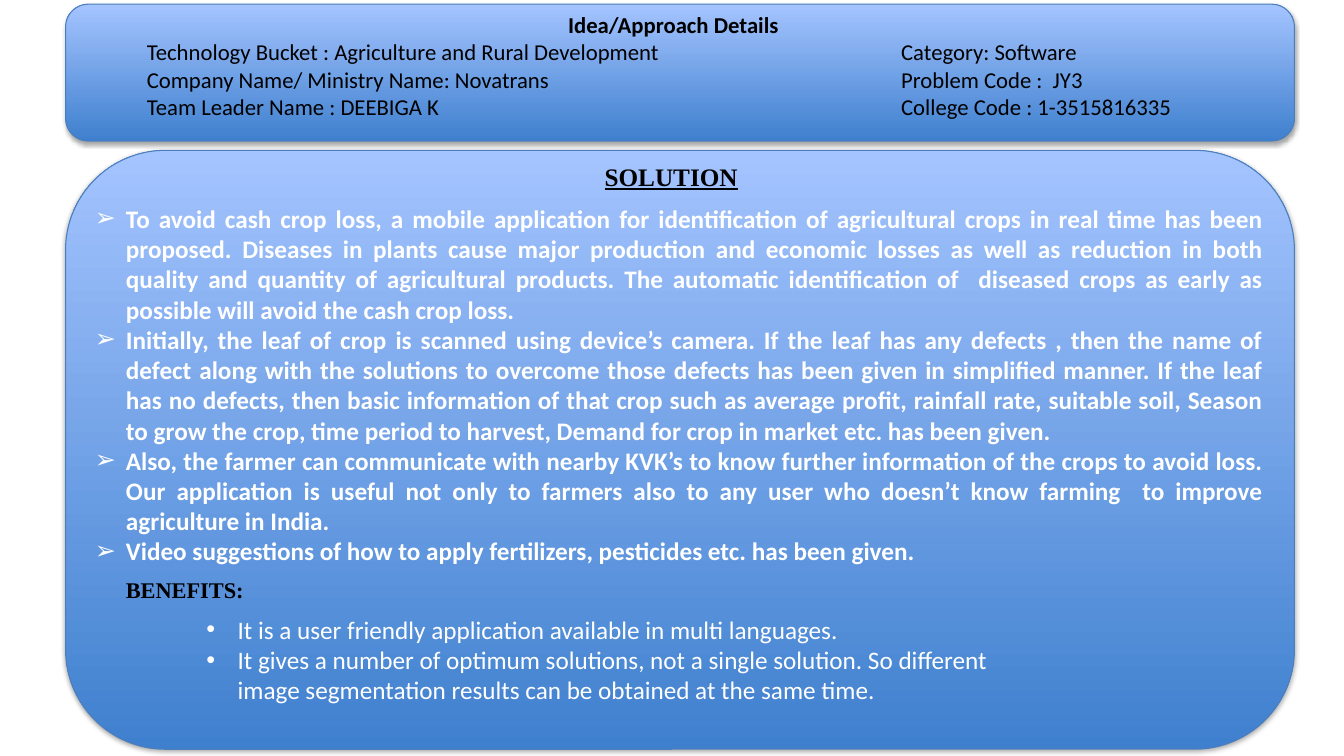
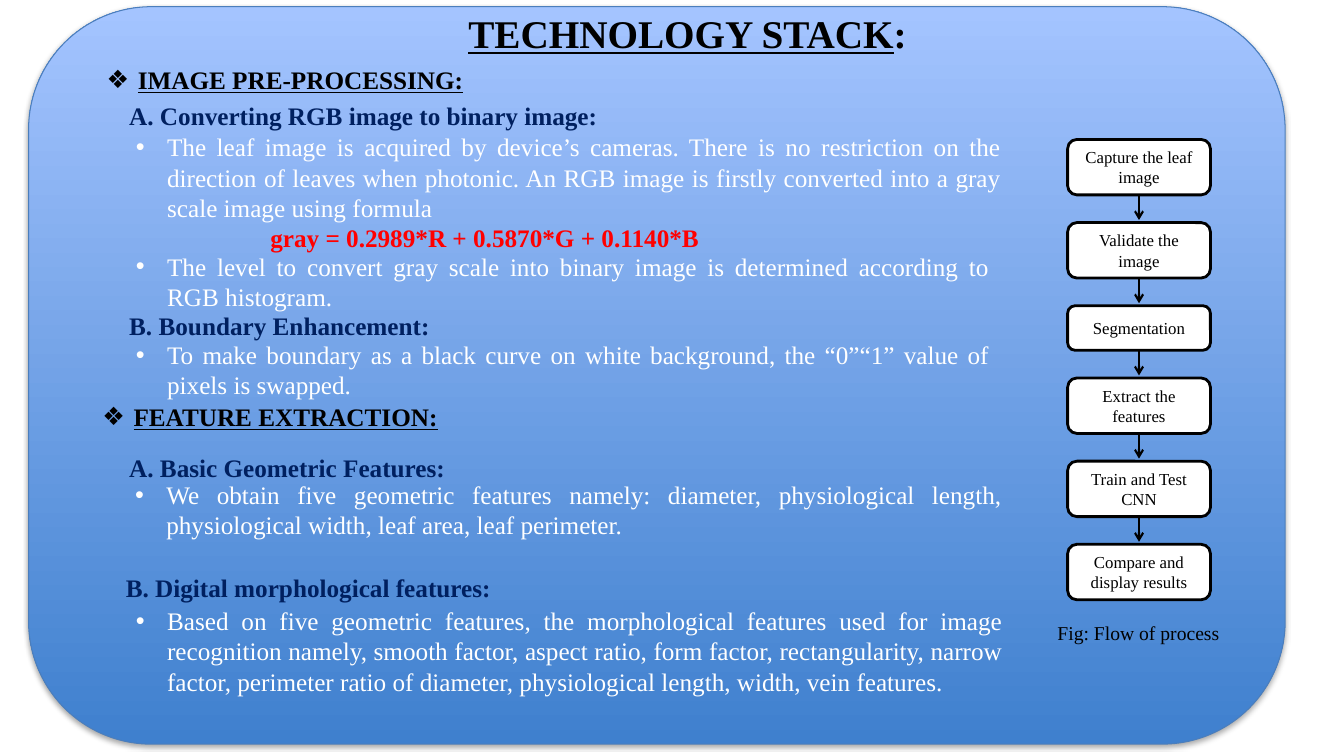
from dataclasses import dataclass, replace

from lxml import etree
from pptx import Presentation
from pptx import util as u
from pptx.dml.color import RGBColor
from pptx.enum import shapes, text
from pptx.oxml import ns

# Grid: 160 columns by 90 rows on a 13.33 x 7.5 inch slide
SLIDE_WIDTH, SLIDE_HEIGHT = u.Inches(13.33), u.Inches(7.5)
COLUMNS, ROWS = 160, 90
INDENT = u.Inches(0.31)

BLACK, WHITE, NAVY, RED = "000000", "FFFFFF", "002060", "FF0000"
PANEL_BOTTOM, PANEL_TOP, PANEL_EDGE = "3F80CE", "A4C4FF", "4B7EBC"
SANS, SERIF = "Calibri", "Times New Roman"
ALIGN = text.PP_ALIGN
MIDDLE = text.MSO_ANCHOR.MIDDLE


@dataclass(frozen=True)
class Style:
    font: str = SERIF
    size: float = 18
    color: str = BLACK
    bold: bool = False
    underline: bool = False
    align: ALIGN = ALIGN.LEFT
    bullet: str = ""


# Text styles
TITLE = Style(bold=True, underline=True, align=ALIGN.CENTER)
DETAIL = Style(SANS, 16.2)
SOLUTION = Style(SANS, color=WHITE, bold=True, align=ALIGN.JUSTIFY, bullet="➢")
BENEFIT = Style(SANS, color=WHITE, bullet="•")
SECTION = Style(bold=True, underline=True, bullet="❖")
STEP_HEADING = Style(color=NAVY, bold=True)
STEP_BODY = Style(color=WHITE, align=ALIGN.JUSTIFY, bullet="•")
FORMULA = Style(color=RED, bold=True)
FLOW = Style(size=12, align=ALIGN.CENTER)

# Wording of the first slide
DETAIL_ROWS = [
    "Technology Bucket : Agriculture and Rural Development\tCategory: Software",
    "Company Name/ Ministry Name: Novatrans\tProblem Code :  JY3",
    "Team Leader Name : DEEBIGA K\tCollege Code : 1-3515816335",
]
SOLUTION_POINTS = [
    "To avoid cash crop loss, a mobile application for identification of agricultural "
    "crops in real time has been proposed. Diseases in plants cause major production and "
    "economic losses as well as reduction in both quality and quantity of agricultural "
    "products. The automatic identification of  diseased crops as early as possible will "
    "avoid the cash crop loss.",
    "Initially, the leaf of crop is scanned using device’s camera. If the leaf has any "
    "defects , then the name of defect along with the solutions to overcome those defects "
    "has been given in simplified manner. If the leaf has no defects, then basic "
    "information of that crop such as average profit, rainfall rate, suitable soil, Season "
    "to grow the crop, time period to harvest, Demand for crop in market etc. has been given.",
    "Also, the farmer can communicate with nearby KVK’s to know further information of the "
    "crops to avoid loss. Our application is useful not only to farmers also to any user "
    "who doesn’t know farming  to improve agriculture in India.",
    "Video suggestions of how to apply fertilizers, pesticides etc. has been given.",
]
BENEFITS = [
    "It is a user friendly application available in multi languages.",
    "It gives a number of optimum solutions, not a single solution. So different image "
    "segmentation results can be obtained at the same time.",
]

# Second slide: style, left column, top row, width in columns, lines, wording
TECHNOLOGY_TEXTS = [
    (SECTION, 11.5, 7.1, 95.5, 1, "IMAGE PRE-PROCESSING:"),
    (STEP_HEADING, 14.2, 11.3, 74.3, 1, "A. Converting RGB image to binary image:"),
    (STEP_BODY, 15, 15.1, 105.4, 3,
     "The leaf image is acquired by device’s cameras. There is no restriction on the "
     "direction of leaves when photonic. An RGB image is firstly converted into a gray "
     "scale image using formula"),
    (FORMULA, 31, 25.9, 69.2, 1, "gray = 0.2989*R + 0.5870*G + 0.1140*B"),
    (STEP_BODY, 15, 29.3, 104, 2,
     "The level to convert gray scale into binary image is determined according to RGB "
     "histogram."),
    (STEP_HEADING, 14.2, 36.4, 74.3, 1, "B. Boundary Enhancement:"),
    (STEP_BODY, 15, 39.8, 104, 2,
     "To make boundary as a black curve on white background, the “0”“1” value of pixels "
     "is swapped."),
    (SECTION, 11, 47.2, 95.5, 1, "FEATURE EXTRACTION:"),
    (STEP_HEADING, 14.2, 53.2, 74.3, 1, "A. Basic Geometric Features:"),
    (STEP_BODY, 14.9, 56.5, 105.6, 2,
     "We obtain five geometric features namely: diameter, physiological length, "
     "physiological width, leaf area, leaf perimeter."),
    (STEP_HEADING, 13.8, 67.6, 74.3, 1, "B. Digital morphological features:"),
    (STEP_BODY, 15, 71.5, 105.6, 3,
     "Based on five geometric features, the morphological features used for image "
     "recognition namely, smooth factor, aspect ratio, form factor, rectangularity, narrow "
     "factor, perimeter ratio of diameter, physiological length, width, vein features."),
]
# Flow steps: paragraphs and height in rows
FLOW_STEPS = [
    (["Capture the leaf", "image"], 6.6),
    (["Validate the image"], 6.6),
    (["Segmentation"], 5.3),
    (["Extract the features"], 6.6),
    (["Train and Test CNN"], 6.6),
    (["Compare and display results"], 6.6),
]
FLOW_LEFT, FLOW_TOP, FLOW_WIDTH, FLOW_GAP = 127.1, 16.6, 17, 3.3


def rgb(color):
    return RGBColor.from_string(color)


def across(columns):
    return round(SLIDE_WIDTH * columns / COLUMNS)


def down(rows):
    return round(SLIDE_HEIGHT * rows / ROWS)


def place(left, top, width, height):
    return across(left), down(top), across(width), down(height)


def add_xml(parent, tag, **attributes):
    return etree.SubElement(parent, ns.qn(tag), attributes)


# Text
def style_run(run, style):
    font = run.font
    font.name, font.size = style.font, u.Pt(style.size)
    font.bold, font.underline = style.bold, style.underline
    font.color.rgb = rgb(style.color)


def style_paragraph(paragraph, style):
    paragraph.alignment = style.align
    for run in paragraph.runs:
        style_run(run, style)
    if style.bullet:
        properties = paragraph._p.get_or_add_pPr()
        properties.set("marL", str(INDENT))
        properties.set("indent", str(-INDENT))
        add_xml(properties, "a:buFont", typeface="Arial")
        add_xml(properties, "a:buChar", char=style.bullet)


def write(shape, paragraphs, style):
    frame = shape.text_frame
    frame.word_wrap = True
    frame.text = "\n".join(paragraphs)
    for paragraph in frame.paragraphs:
        style_paragraph(paragraph, style)
    return frame


def add_text(slide, box, paragraphs, style):
    return write(slide.shapes.add_textbox(*place(*box)), paragraphs, style)


def add_tab_stop(paragraph, columns):
    stops = add_xml(paragraph._p.get_or_add_pPr(), "a:tabLst")
    add_xml(stops, "a:tab", pos=str(across(columns)), algn="l")


# Shapes
def add_rounded(slide, box, edge, edge_width):
    kind = shapes.MSO_SHAPE.ROUNDED_RECTANGLE
    shape = slide.shapes.add_shape(kind, *place(*box))
    shape.shadow.inherit = False
    shape.line.color.rgb = rgb(edge)
    shape.line.width = u.Pt(edge_width)
    return shape


def add_panel(slide, *box):
    panel = add_rounded(slide, box, PANEL_EDGE, 0.75)
    panel.fill.gradient()
    panel.fill.gradient_angle = 90
    for stop, color in zip(panel.fill.gradient_stops, (PANEL_BOTTOM, PANEL_TOP)):
        stop.color.rgb = rgb(color)
    effects = panel._element.spPr.find(ns.qn("a:effectLst"))
    shadow = add_xml(effects, "a:outerShdw", blurRad=str(u.Pt(3.1)), dist=str(u.Pt(1.8)),
                     dir="5400000", rotWithShape="0")
    add_xml(add_xml(shadow, "a:srgbClr", val=BLACK), "a:alpha", val="35000")


def add_flow_box(slide, box, paragraphs):
    shape = add_rounded(slide, box, BLACK, 2)
    shape.fill.solid()
    shape.fill.fore_color.rgb = rgb(WHITE)
    write(shape, paragraphs, FLOW).vertical_anchor = MIDDLE


def add_down_arrow(slide, column, top, bottom):
    arrow = slide.shapes.add_connector(shapes.MSO_CONNECTOR.STRAIGHT, across(column),
                                       down(top), across(column), down(bottom))
    arrow.line.color.rgb = rgb(BLACK)
    arrow.line.width = u.Pt(1.5)
    add_xml(arrow.line._get_or_add_ln(), "a:tailEnd", type="arrow")
    add_xml(arrow._element.spPr, "a:effectLst")


def add_flow(slide):
    top = FLOW_TOP
    for index, (paragraphs, height) in enumerate(FLOW_STEPS):
        if index:
            add_down_arrow(slide, FLOW_LEFT + FLOW_WIDTH / 2, top - FLOW_GAP, top - 0.3)
        add_flow_box(slide, (FLOW_LEFT, top, FLOW_WIDTH, height), paragraphs)
        top += height + FLOW_GAP


# Slides
def build_solution(slide):
    add_panel(slide, 7.8, 0.5, 146.3, 16.3)
    details = add_text(slide, (16.3, 0.5, 127.7, 14.6),
                       ["Idea/Approach Details", *DETAIL_ROWS], DETAIL)
    details.vertical_anchor = MIDDLE
    heading, *rows = details.paragraphs
    style_paragraph(heading, replace(DETAIL, bold=True, align=ALIGN.CENTER))
    for row in rows:
        add_tab_stop(row, 89.8)

    add_panel(slide, 7.8, 17.9, 146.3, 71.3)
    add_text(slide, (68.3, 18.6, 23.2, 4.8), ["SOLUTION"], TITLE)
    add_text(slide, (10.1, 23.6, 141.5, 44.9), SOLUTION_POINTS, SOLUTION)
    add_text(slide, (13.8, 68, 28.7, 4.4), ["BENEFITS:"], Style(size=16, bold=True))
    add_text(slide, (23.4, 72.5, 96.4, 12.1), BENEFITS, BENEFIT)


def build_technology(slide):
    add_panel(slide, 3.4, 0.8, 149.6, 87.8)
    big_title = replace(TITLE, size=28)
    title = add_text(slide, (53.4, 0.5, 56.9, 6.8), ["TECHNOLOGY STACK"], big_title)
    colon = title.paragraphs[0].add_run()
    colon.text = ":"
    style_run(colon, replace(big_title, underline=False))

    for style, left, top, width, lines, wording in TECHNOLOGY_TEXTS:
        add_text(slide, (left, top, width, 3.6 * lines + 1.2), [wording], style)
    add_flow(slide)
    add_text(slide, (124.7, 73.3, 23.5, 4.1), ["Fig: Flow of process"], Style(size=14))


def main():
    presentation = Presentation()
    presentation.slide_width, presentation.slide_height = SLIDE_WIDTH, SLIDE_HEIGHT
    blank = presentation.slide_layouts[6]
    for build in (build_solution, build_technology):
        build(presentation.slides.add_slide(blank))
    presentation.save("out.pptx")


if __name__ == "__main__":
    main()
